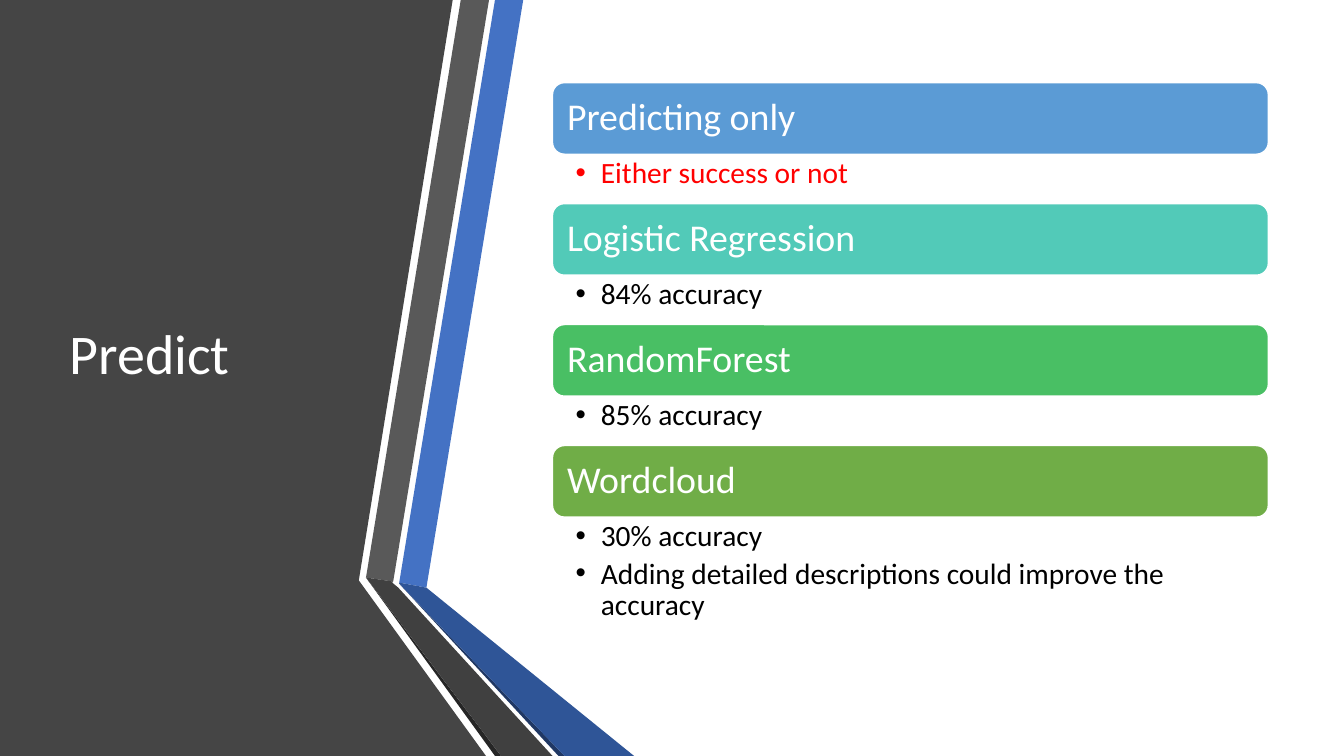
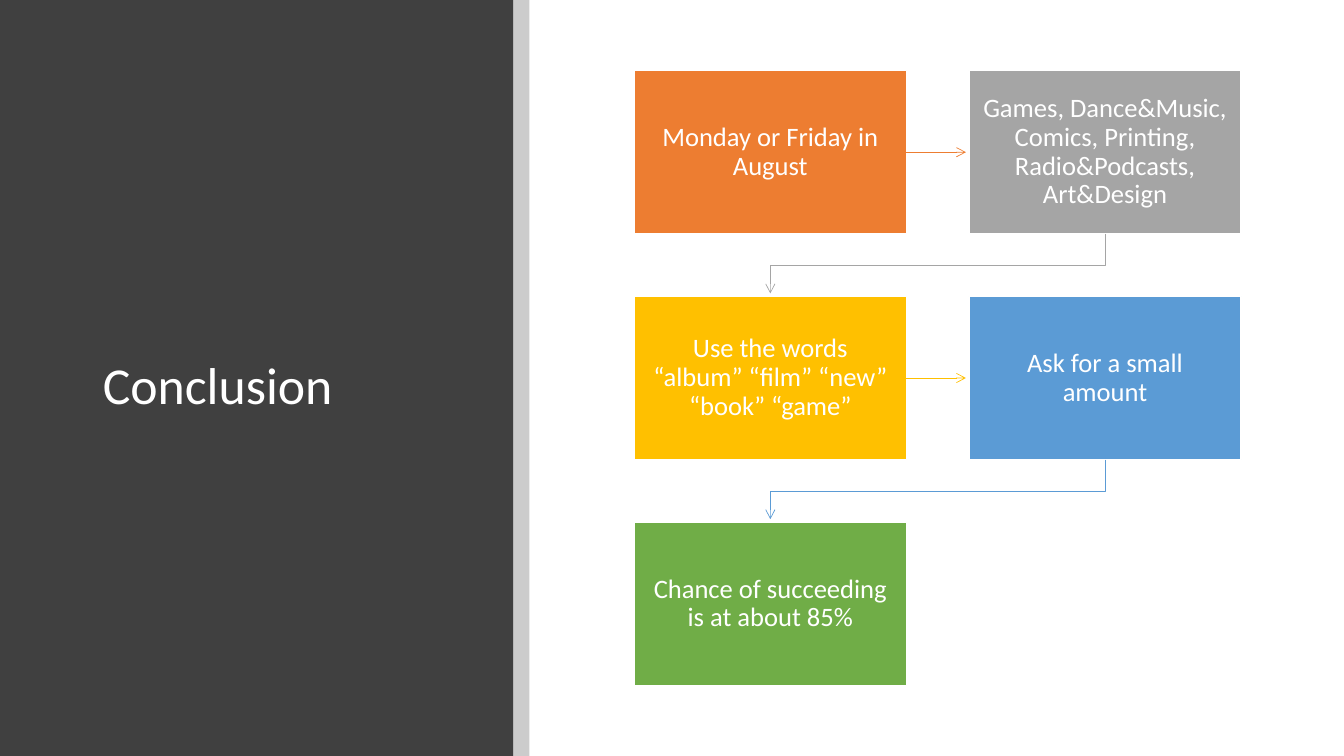
from dataclasses import dataclass
from typing import NamedTuple

from lxml import etree
from pptx import Presentation
from pptx import slide as sl
from pptx import util as u
from pptx.dml import color, fill
from pptx.enum import shapes as sh
from pptx.enum import text as tx
from pptx.oxml import ns
from pptx.shapes import autoshape as au
from pptx.shapes import base
from pptx.text import text as tf


@dataclass(frozen=True)
class Theme:
    font: str = "Calibri"
    white: str = "FFFFFF"
    black: str = "000000"
    red: str = "FF0000"
    panel: str = "454545"
    dark: str = "404040"
    grey: str = "595959"
    coal: str = "262626"
    blue: str = "4472C4"
    deep: str = "2F5597"
    navy: str = "203864"
    sky: str = "5B9BD5"
    teal: str = "52CAB8"
    mint: str = "49BF64"
    green: str = "70AD47"
    orange: str = "ED7D31"
    silver: str = "A5A5A5"
    gold: str = "FFC000"
    head: float = 27
    item: float = 21
    step: float = 19
    edge: float = 1
    arrow: float = 0.5
    lead: float = 0.9
    gap: float = 4.2


class Box(NamedTuple):
    left: float
    top: float
    width: float
    height: float


class Facet(NamedTuple):
    hue: str
    points: list[tuple[float, float]]


class Topic(NamedTuple):
    head: str
    hue: str
    items: list[str]
    ink: str


class Step(NamedTuple):
    words: str
    hue: str


T = Theme()
WIDE, HIGH = 13.33, 7.5


def rgb(hue: str) -> color.RGBColor:
    return color.RGBColor.from_string(hue)


def paint(target: fill.FillFormat, hue: str) -> None:
    target.solid()
    target.fore_color.rgb = rgb(hue)


def place(box: Box) -> list[u.Length]:
    return [u.Inches(v) for v in box]


def setup(frame: tf.TextFrame, pads: tuple[float, float, float, float],
          anchor: tx.MSO_ANCHOR) -> None:
    frame.word_wrap = True
    frame.auto_size = tx.MSO_AUTO_SIZE.NONE
    frame.vertical_anchor = anchor
    (frame.margin_left, frame.margin_top,
     frame.margin_right, frame.margin_bottom) = map(u.Inches, pads)


def write(para: tf._Paragraph, words: str, size: float, hue: str,
          align: tx.PP_ALIGN = tx.PP_ALIGN.LEFT) -> None:
    para.alignment = align
    para.line_spacing = T.lead
    run = para.add_run()
    run.text = words
    run.font.name = T.font
    run.font.size = u.Pt(size)
    run.font.color.rgb = rgb(hue)


def title(page: sl.Slide, words: str, box: Box, size: float) -> None:
    name = page.shapes.title
    name.left, name.top, name.width, name.height = place(box)
    setup(name.text_frame, (0.1, 0.05, 0.1, 0.05), tx.MSO_ANCHOR.MIDDLE)
    write(name.text_frame.paragraphs[0], words, size, T.white)
    name.element.getparent().append(name.element)


def block(page: sl.Slide, kind: sh.MSO_SHAPE, box: Box, hue: str,
          edge: bool = False) -> au.Shape:
    form = page.shapes.add_shape(kind, *place(box))
    form.shadow.inherit = False
    paint(form.fill, hue)
    if edge:
        paint(form.line.fill, T.white)
        form.line.width = u.Pt(T.edge)
    else:
        form.line.fill.background()
    return form


def trace(page: sl.Slide, points: list[tuple[float, float]],
          close: bool) -> au.Shape:
    spots = [(u.Inches(x), u.Inches(y)) for x, y in points]
    pen = page.shapes.build_freeform(*spots[0])
    pen.add_line_segments(spots[1:], close=close)
    form = pen.convert_to_shape()
    form.shadow.inherit = False
    return form


def facet(page: sl.Slide, part: Facet) -> None:
    form = trace(page, part.points, True)
    paint(form.fill, part.hue)
    form.line.fill.background()


def tip(form: base.BaseShape, hue: str) -> None:
    paint(form.line.fill, hue)
    form.line.width = u.Pt(T.arrow)
    etree.SubElement(form.line._get_or_add_ln(), ns.qn("a:tailEnd"), type="arrow")


def arrow(page: sl.Slide, points: list[tuple[float, float]], hue: str) -> None:
    if len(points) == 2:
        ends = [u.Inches(v) for spot in points for v in spot]
        form = page.shapes.add_connector(sh.MSO_CONNECTOR.STRAIGHT, *ends)
        tip(form, hue)
        etree.SubElement(form.element.spPr, ns.qn("a:effectLst"))
    else:
        form = trace(page, points, False)
        form.fill.background()
        tip(form, hue)


def bullet(para: tf._Paragraph, words: str, hue: str) -> None:
    para.level = 1
    write(para, words, T.item, hue)
    para.space_after = u.Pt(T.gap)
    props = para._p.get_or_add_pPr()
    props.set("marL", str(u.Inches(0.25)))
    props.set("indent", str(u.Inches(-0.25)))
    etree.SubElement(props, ns.qn("a:buFont"), typeface="Arial")
    etree.SubElement(props, ns.qn("a:buChar"), char="•")


def topic(page: sl.Slide, part: Topic, top: float) -> None:
    left, width, high = 5.48, 7.1, 0.71
    bar = block(page, sh.MSO_SHAPE.ROUNDED_RECTANGLE,
                Box(left, top, width, high), part.hue, True)
    setup(bar.text_frame, (0.11,) * 4, tx.MSO_ANCHOR.MIDDLE)
    write(bar.text_frame.paragraphs[0], part.head, T.head, T.white)
    depth = 0.49 if len(part.items) == 1 else 1.13
    note = page.shapes.add_textbox(*place(Box(left, top + high, width, depth)))
    frame = note.text_frame
    setup(frame, (0.23, 0.04, 0.21, 0.04), tx.MSO_ANCHOR.TOP)
    for i, words in enumerate(part.items):
        para = frame.add_paragraph() if i else frame.paragraphs[0]
        bullet(para, words, part.ink)


def flow(page: sl.Slide, steps: list[Step]) -> None:
    wide, high, across, down = 2.7, 1.62, 3.32, 2.24
    cells = [Box(6.29 + i % 2 * across, 0.7 + i // 2 * down, wide, high)
             for i in range(len(steps))]
    for i, (step, cell) in enumerate(zip(steps, cells)):
        card = block(page, sh.MSO_SHAPE.RECTANGLE, cell, step.hue, True)
        setup(card.text_frame, (0.13, 0.14, 0.13, 0.14), tx.MSO_ANCHOR.MIDDLE)
        write(card.text_frame.paragraphs[0], step.words, T.step, T.white,
              tx.PP_ALIGN.CENTER)
        if i + 1 == len(steps):
            continue
        goal = cells[i + 1]
        if goal.top == cell.top:
            mid = cell.top + high / 2
            route = [(cell.left + wide, mid), (goal.left - 0.03, mid)]
        else:
            start, end = cell.left + wide / 2, goal.left + wide / 2
            foot = cell.top + high
            bend = (foot + goal.top) / 2
            route = [(start, foot), (start, bend), (end, bend),
                     (end, goal.top - 0.03)]
        arrow(page, route, step.hue)


def predict(page: sl.Slide) -> None:
    facets = [
        Facet(T.panel, [(0, 0), (4.49, 0), (3.56, 5.75), (3.56, 5.76),
                        (4.82, HIGH), (0, HIGH)]),
        Facet(T.blue, [(3.96, 5.78), (4.23, 5.83), (5.19, 0), (4.91, 0)]),
        Facet(T.grey, [(4.85, 0), (4.57, 0), (3.63, 5.73), (3.9, 5.77)]),
        Facet(T.coal, [(3.63, 5.73), (4.91, HIGH), (4.97, HIGH)]),
        Facet(T.navy, [(3.96, 5.79), (5.54, HIGH), (5.6, HIGH)]),
        Facet(T.deep, [(3.96, 5.79), (5.6, HIGH), (6.29, HIGH),
                       (4.23, 5.83), (3.96, 5.78)]),
        Facet(T.dark, [(5.48, HIGH), (3.95, 5.83), (3.89, 5.78),
                       (3.9, 5.77), (3.63, 5.73), (4.97, HIGH)]),
    ]
    topics = [
        Topic("Predicting only", T.sky, ["Either success or not"], T.red),
        Topic("Logistic Regression", T.teal, ["84% accuracy"], T.black),
        Topic("RandomForest", T.mint, ["85% accuracy"], T.black),
        Topic("Wordcloud", T.green,
              ["30% accuracy",
               "Adding detailed descriptions could improve the accuracy"], T.black),
    ]
    for part in facets:
        facet(page, part)
    title(page, "Predict", Box(0.59, 0.75, 3.04, 5.58), 40)
    for i, part in enumerate(topics):
        topic(page, part, 0.82 + 1.2 * i)


def conclude(page: sl.Slide) -> None:
    block(page, sh.MSO_SHAPE.RECTANGLE, Box(0, 0, 5.09, HIGH), T.dark)
    strip = block(page, sh.MSO_SHAPE.RECTANGLE, Box(5.09, 0, 0.16, HIGH), T.black)
    tint = strip.element.spPr.find(ns.qn("a:solidFill"))[0]
    etree.SubElement(tint, ns.qn("a:alpha"), val="20000")
    title(page, "Conclusion", Box(0.92, 0.89, 3.65, 5.91), 37)
    flow(page, [
        Step("Monday or Friday in August", T.orange),
        Step("Games, Dance&Music, Comics, Printing, Radio&Podcasts, Art&Design",
             T.silver),
        Step("Use the words “album” “film” “new” “book” “game”", T.gold),
        Step("Ask for a small amount", T.sky),
        Step("Chance of succeeding is at about 85%", T.green),
    ])


def main() -> None:
    deck = Presentation()
    deck.slide_width, deck.slide_height = u.Inches(WIDE), u.Inches(HIGH)
    plain = deck.slide_layouts.get_by_name("Title Only")
    for draw in (predict, conclude):
        page = deck.slides.add_slide(plain)
        paint(page.background.fill, T.white)
        draw(page)
    deck.save("out.pptx")


main()
